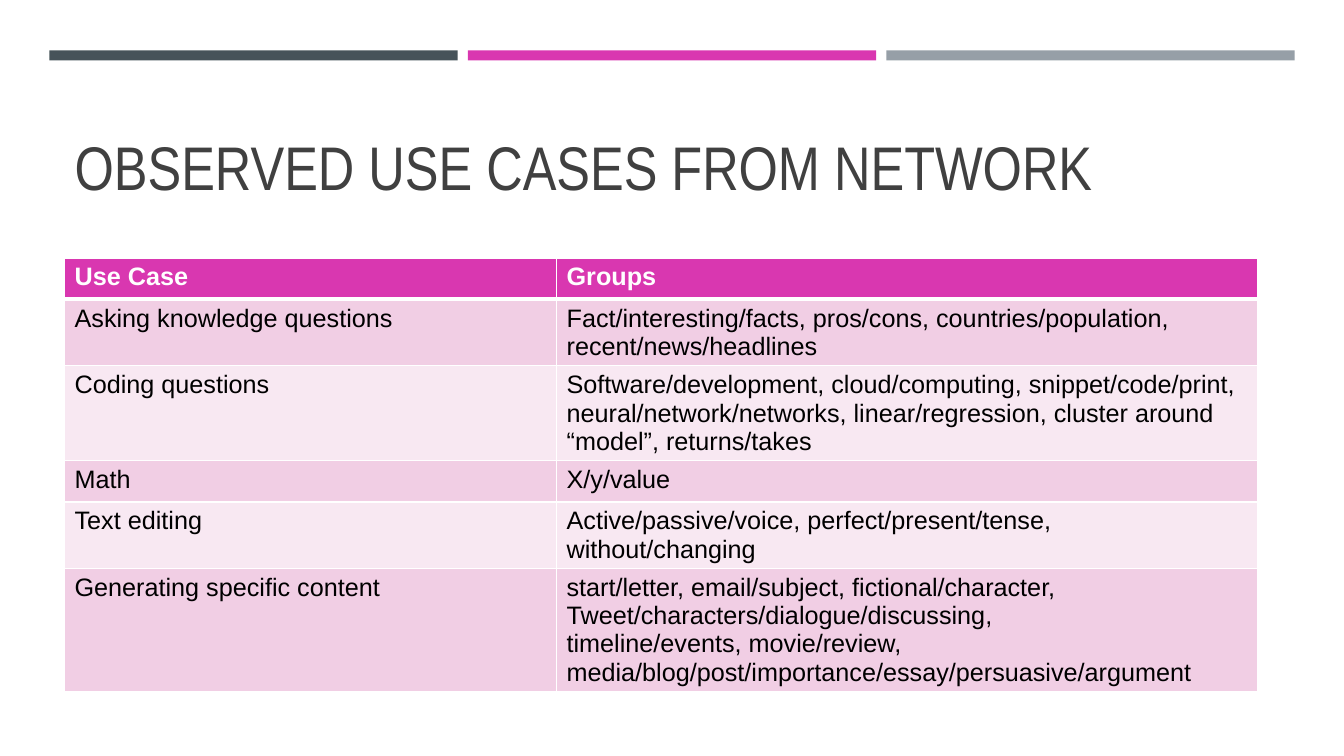
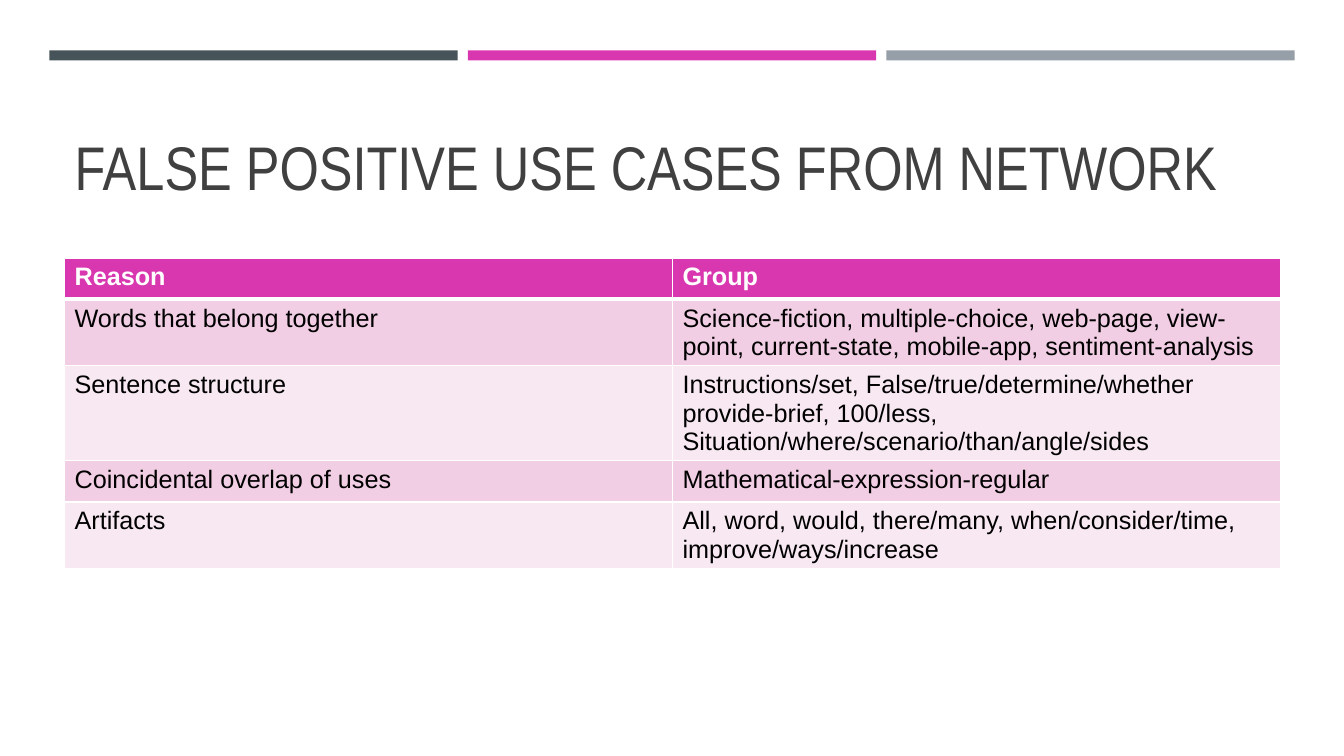
import pptx
import pptx.util
import pptx.dml.color
import pptx.enum.shapes
import pptx.enum.text
import pptx.oxml
import pptx.oxml.ns

Inches, Pt = pptx.util.Inches, pptx.util.Pt
RGB = pptx.dml.color.RGBColor.from_string

HUES = {"slate": "465359", "pink": "D937B0", "gray": "969FA7", "title": "404040",
        "white": "FFFFFF", "black": "000000", "odd": "F1CEE4", "even": "F8E8F2"}

USES = [
    ("Use Case", "Groups"),
    ("Asking knowledge questions",
     "Fact/interesting/facts, pros/cons, countries/population, recent/news/headlines"),
    ("Coding questions",
     "Software/development, cloud/computing, snippet/code/print, "
     "neural/network/networks, linear/regression, cluster around “model”, returns/takes"),
    ("Math", "X/y/value"),
    ("Text editing", "Active/passive/voice, perfect/present/tense, without/changing"),
    ("Generating specific content",
     "start/letter, email/subject, fictional/character, "
     "Tweet/characters/dialogue/discussing,\n"
     "timeline/events, movie/review, "
     "media/blog/post/importance/essay/persuasive/argument"),
]
FALSE = [
    ("Reason", "Group"),
    ("Words that belong together",
     "Science-fiction, multiple-choice, web-page, view-point, current-state, "
     "mobile-app, sentiment-analysis"),
    ("Sentence structure",
     "Instructions/set, False/true/determine/whether provide-brief, 100/less, "
     "Situation/where/scenario/than/angle/sides"),
    ("Coincidental overlap of uses", "Mathematical-expression-regular"),
    ("Artifacts",
     "All, word, would, there/many, when/consider/time, improve/ways/increase"),
]


def write(frame, text, size=18, font="Arial", hue="black", bold=False, space=None):
    """Fill a text frame; each line of text becomes a paragraph."""
    frame.text = text
    for para in frame.paragraphs:
        para.line_spacing = space
        for run in para.runs:
            run.font.size, run.font.name, run.font.bold = Pt(size), font, bold
            run.font.color.rgb = RGB(HUES[hue])


class Deck:
    left, top, row = 0.64, 2.56, 0.41

    def __init__(self):
        self.prs = pptx.Presentation()
        self.prs.slide_width, self.prs.slide_height = Inches(13.33), Inches(7.5)
        self.slide = None

    def page(self, title):
        """Start a slide with the shared bands and title."""
        self.slide = self.prs.slides.add_slide(self.prs.slide_layouts[5])
        for i, hue in enumerate(("slate", "pink", "gray")):
            self.band(0.49 + i * 4.15, hue)
        self.title(title)

    def band(self, left, hue):
        bar = self.slide.shapes.add_shape(
            pptx.enum.shapes.MSO_SHAPE.RECTANGLE,
            Inches(left), Inches(0.5), Inches(4.05), Inches(0.1))
        bar.shadow.inherit = False
        bar.fill.solid()
        bar.fill.fore_color.rgb = RGB(HUES[hue])
        bar.line.fill.background()

    def title(self, text):
        box = self.slide.shapes.title
        box.left, box.top = Inches(self.left), Inches(0.77)
        box.width, box.height = Inches(12.06), Inches(1.3)
        frame = box.text_frame
        frame.word_wrap = True
        frame.auto_size = pptx.enum.text.MSO_AUTO_SIZE.NONE
        frame.vertical_anchor = pptx.enum.text.MSO_ANCHOR.BOTTOM
        write(frame, text, size=44, font="Arial Narrow", hue="title", space=0.9)
        for para in frame.paragraphs:
            para.alignment = pptx.enum.text.PP_ALIGN.LEFT

    def table(self, rows, widths):
        grid = self.slide.shapes.add_table(
            len(rows), len(widths), Inches(self.left), Inches(self.top),
            Inches(sum(widths)), Inches(self.row * len(rows))).table
        for col, width in zip(grid.columns, widths):
            col.width = Inches(width)
        for r, texts in enumerate(rows):
            head = r == 0
            fill = "pink" if head else "odd" if r % 2 else "even"
            for c, text in enumerate(texts):
                cell = grid.cell(r, c)
                write(cell.text_frame, text, hue="white" if head else "black", bold=head)
                cell.fill.solid()
                cell.fill.fore_color.rgb = RGB(HUES[fill])
                self.edge(cell, top=3 if r == 1 else 1, low=3 if head else 1)

    def edge(self, cell, top, low):
        """Draw white cell borders, which come before the fill in the XML."""
        props = cell._tc.get_or_add_tcPr()
        sides = {"lnL": 1, "lnR": 1, "lnT": top, "lnB": low}
        for i, (tag, width) in enumerate(sides.items()):
            props.insert(i, pptx.oxml.parse_xml(
                f'<a:{tag} {pptx.oxml.ns.nsdecls("a")} w="{Pt(width)}"><a:solidFill>'
                f'<a:srgbClr val="{HUES["white"]}"/></a:solidFill></a:{tag}>'))


def main():
    deck = Deck()

    # Observed use cases
    deck.page("OBSERVED USE CASES FROM NETWORK")
    deck.table(USES, (4.88, 6.95))

    # False positives
    deck.page("FALSE POSITIVE USE CASES FROM NETWORK")
    deck.table(FALSE, (6.03, 6.03))

    deck.prs.save("out.pptx")


if __name__ == "__main__":
    main()
